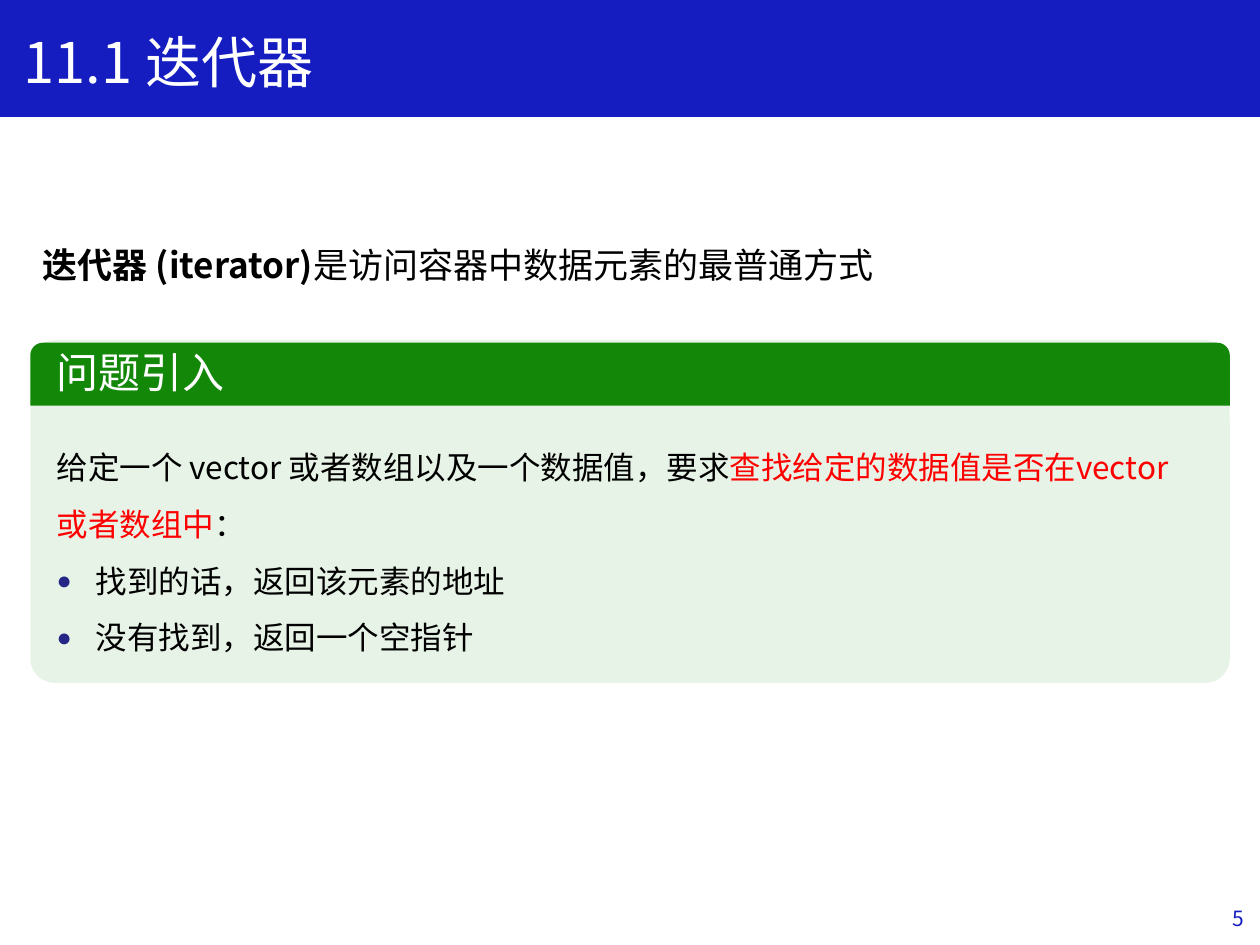
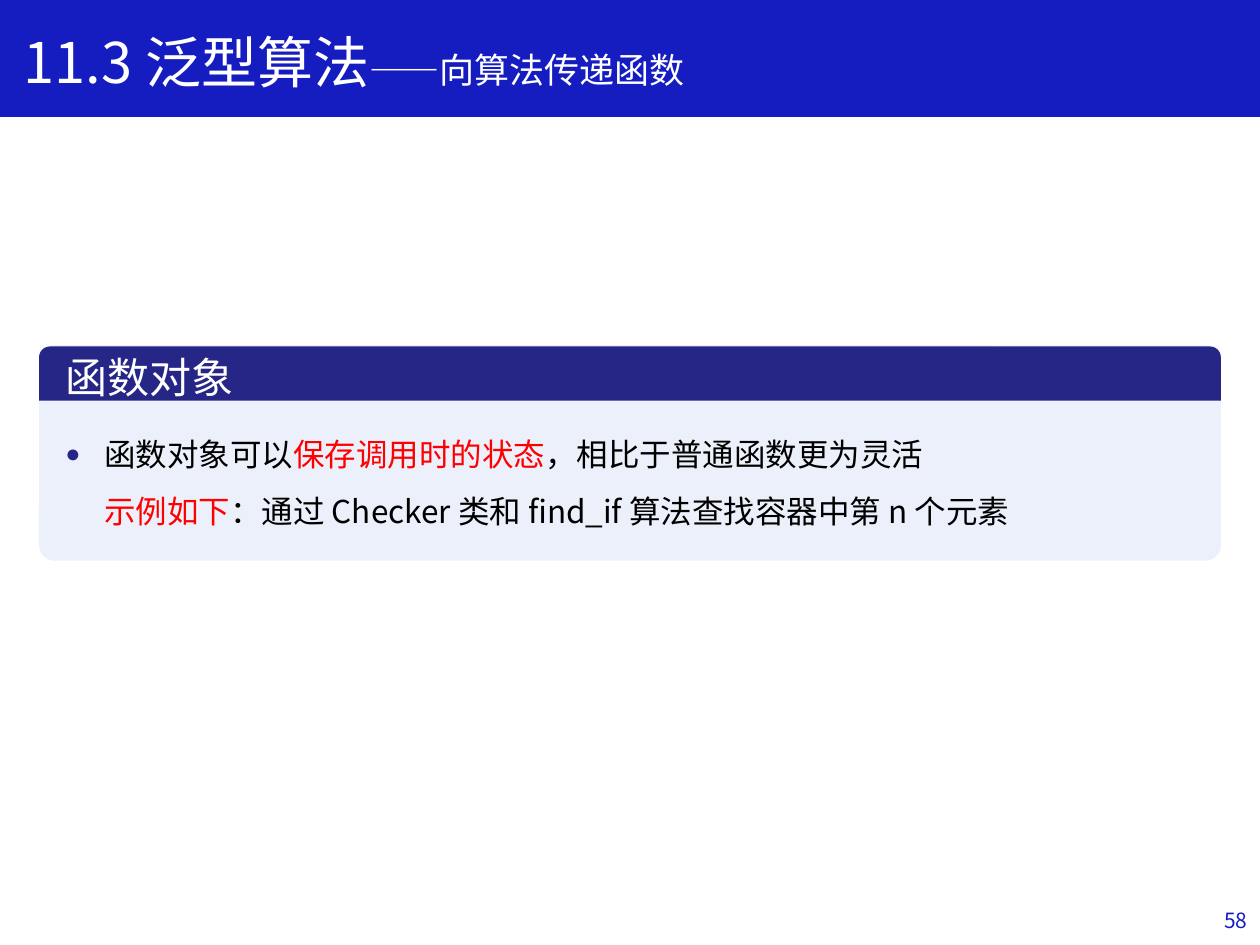
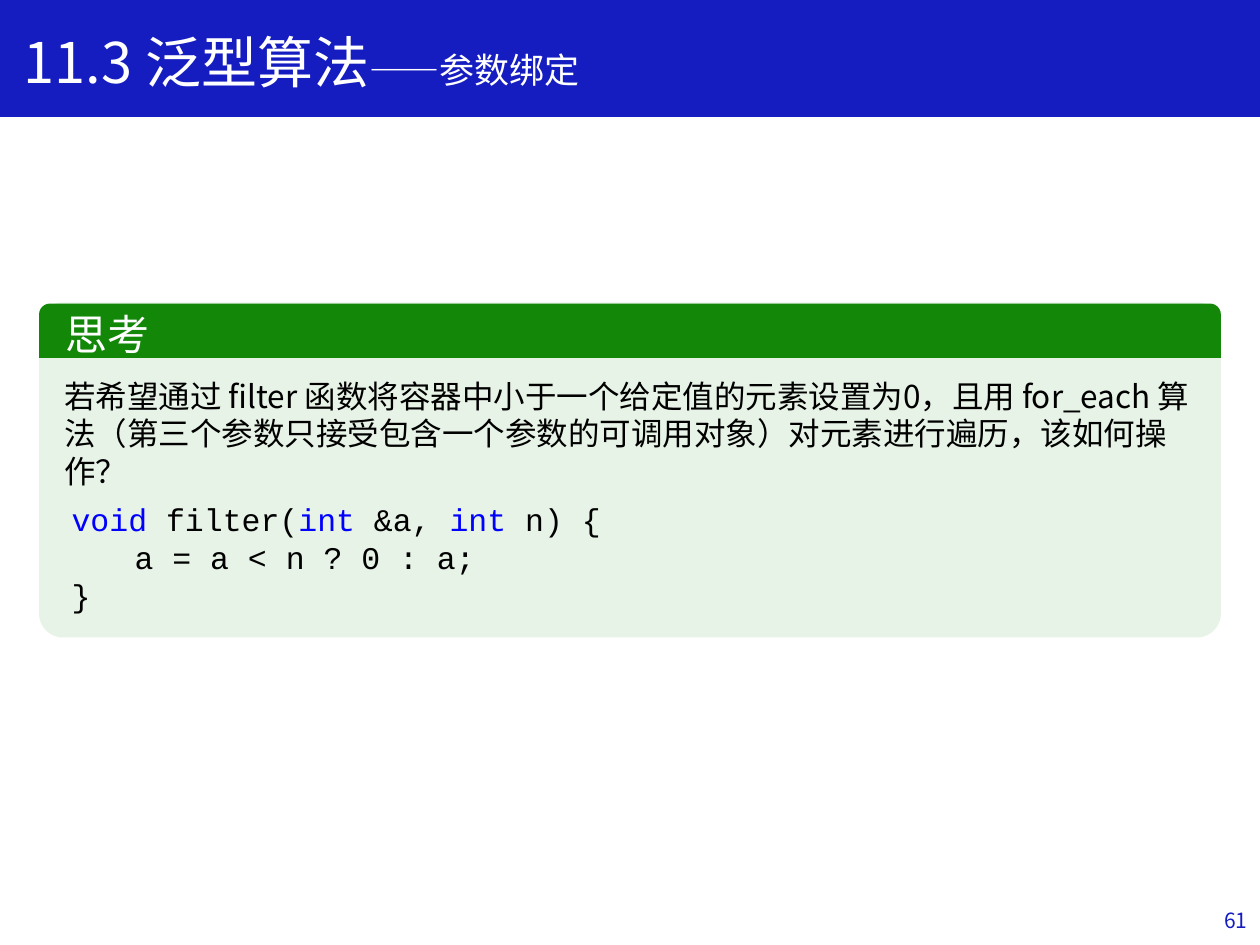
from lxml.etree import SubElement
from pptx import Presentation
from pptx.dml.color import RGBColor
from pptx.enum.shapes import MSO_SHAPE as Shape
from pptx.enum.text import MSO_ANCHOR as Anchor, MSO_AUTO_SIZE as AutoSize, PP_ALIGN as Align
from pptx.oxml.ns import qn
from pptx.util import Pt

PX = 9144
SLIDE_WIDTH, SLIDE_HEIGHT = 1000, 750
BODY_FONT, CODE_FONT, BULLET_FONT = "Noto Sans CJK SC", "Courier New", "Arial"
BODY_SIZE = 18
COLORS = {
    "band": "151DC1", "white": "FFFFFF", "text": "000000", "accent": "FF0000",
    "keyword": "0000FF", "green": "128708", "pale_green": "E7F3E6",
    "navy": "262686", "pale_blue": "ECF0FA",
}
GREEN = ("green", "pale_green")
BLUE = ("navy", "pale_blue")


def rgb(name):
    """Return the named colour."""
    return RGBColor.from_string(COLORS[name])


def emu(box):
    """Turn a px box into EMU lengths."""
    return [length * PX for length in box]


def add_filled(shapes, preset, box, color, adjustments=()):
    """Add a plain filled shape without outline."""
    shape = shapes.add_shape(preset, *emu(box))
    shape.shadow.inherit = False
    shape.fill.solid()
    shape.fill.fore_color.rgb = rgb(color)
    shape.line.fill.background()
    for index, value in enumerate(adjustments):
        shape.adjustments[index] = value
    return shape


def add_run(paragraph, text, color="text", size=BODY_SIZE, bold=False, font=BODY_FONT):
    """Append a formatted run to a paragraph."""
    run = paragraph.add_run()
    run.text = text
    run.font.size = Pt(size)
    run.font.bold = bold
    run.font.name = font
    run.font.color.rgb = rgb(color)
    SubElement(run.font._element, qn("a:ea"), typeface=font)


def add_text(shapes, box, paragraphs, size=BODY_SIZE, font=BODY_FONT):
    """Add a wrapping text box; each paragraph is a list of run tuples."""
    text_box = shapes.add_textbox(*emu(box))
    frame = text_box.text_frame
    frame.word_wrap = True
    frame.auto_size = AutoSize.SHAPE_TO_FIT_TEXT
    for index, runs in enumerate(paragraphs):
        paragraph = frame.add_paragraph() if index else frame.paragraphs[0]
        for text, color, *run_size in runs:
            add_run(paragraph, text, color, *(run_size or [size]), font=font)
    return frame


def add_bullet(paragraph):
    """Give a paragraph a hanging navy bullet."""
    properties = paragraph._p.get_or_add_pPr()
    properties.set("marL", str(31 * PX))
    properties.set("indent", str(-31 * PX))
    color = SubElement(properties, qn("a:buClr"))
    SubElement(color, qn("a:srgbClr"), val=COLORS["navy"])
    SubElement(properties, qn("a:buSzPct"), val="80000")
    SubElement(properties, qn("a:buFont"), typeface=BULLET_FONT)
    SubElement(properties, qn("a:buChar"), char="●")


def add_tab_stop(paragraph, position):
    """Set a left tab stop at a px position."""
    stops = SubElement(paragraph._p.get_or_add_pPr(), qn("a:tabLst"))
    SubElement(stops, qn("a:tab"), pos=str(position * PX), algn="l")


def add_base(presentation, title, number, subtitle="", title_width=744, number_at=(775, 710)):
    """Add a slide with its title band and page number."""
    slide = presentation.slides.add_slide(presentation.slide_layouts[6])
    band = add_filled(slide.shapes, Shape.RECTANGLE, (0, 0, SLIDE_WIDTH, 92), "band")
    band.line.color.rgb = rgb("band")
    band.line.width = Pt(1)
    frame = add_text(slide.shapes, (*number_at, 225, 40), [[(str(number), "band")]], size=12)
    frame.auto_size = AutoSize.NONE
    frame.vertical_anchor = Anchor.MIDDLE
    frame.paragraphs[0].alignment = Align.RIGHT
    runs = [(title, "white")]
    if subtitle:
        runs.append((subtitle, "white", 20))
    add_text(slide.shapes, (9, 17, title_width, 64), [runs], size=32)
    return slide


def add_card(slide, box, heading, theme, header_top=1, header_height=43):
    """Add a rounded card with a coloured header and return its group's shapes."""
    left, top, width, height = box
    header_color, body_color = theme
    shapes = slide.shapes.add_group_shape().shapes
    add_filled(shapes, Shape.ROUNDED_RECTANGLE, box, body_color, [0.072])
    header_box = (left, top + header_top, width, header_height)
    add_filled(shapes, Shape.ROUND_2_SAME_RECTANGLE, header_box, header_color, [0.2, 0])
    add_text(shapes, (left + 11, top, 805, 50), [[(heading, "white")]], size=24)
    return shapes


def add_iterator_slide(presentation):
    """Introduce iterators and the search problem."""
    slide = add_base(presentation, "11.1 迭代器", 5, title_width=467, number_at=(772, 709))
    left, top, width, height = box = (24, 270, 952, 272)
    card = add_card(slide, box, "问题引入", GREEN, 2, 50)
    frame = add_text(card, (left + 11, top + 66, 908, 187), [
        [("给定一个 vector 或者数组以及一个数据值，要求", "text"),
         ("查找给定的数据值是否在vector 或者数组中", "accent"), ("：", "text")],
        [("找到的话，返回该元素的地址", "text")],
        [("没有找到，返回一个空指针", "text")],
    ])
    for paragraph in frame.paragraphs:
        paragraph.line_spacing = 1.5
    for paragraph in frame.paragraphs[1:]:
        add_bullet(paragraph)
    definition = add_text(slide.shapes, (left, 188, width, 44), [
        [("迭代器 (iterator)", "text"), ("是访问容器中数据元素的最普通方式", "text")],
    ], size=20)
    definition.paragraphs[0].runs[0].font.bold = True


def add_function_object_slide(presentation):
    """Explain what function objects add."""
    slide = add_base(presentation, "11.3 泛型算法", 58, "——向算法传递函数")
    left, top, width, height = box = (31, 274, 938, 171)
    add_card(slide, box, "函数对象", BLUE)
    frame = add_text(slide.shapes, (left + 11, top + 66, 830, 40), [
        [("函数对象可以", "text"), ("保存调用时的状态", "accent"),
         ("，相比于普通函数更为灵活", "text")],
    ])
    add_bullet(frame.paragraphs[0])
    add_text(slide.shapes, (left + 42, top + 112, 830, 40), [
        [("示例如下", "accent"),
         ("：通过 Checker 类和 find_if 算法查找容器中第 n 个元素", "text")],
    ])


def add_binding_slide(presentation):
    """Pose the argument binding question with its code."""
    slide = add_base(presentation, "11.3 泛型算法", 61, "——参数绑定")
    left, top, width, height = box = (31, 240, 938, 266)
    add_card(slide, box, "思考", GREEN)
    add_text(slide.shapes, (left + 10, top + 54, 918, 101), [
        [("若希望通过 filter 函数将容器中小于一个给定值的元素设置为0，且用 for_each "
          "算法（第三个参数只接受包含一个参数的可调用对象）对元素进行遍历，该如何操作？", "text")],
    ])
    code = add_text(slide.shapes, (left + 16, top + 152, 540, 101), [
        [("void ", "keyword"), ("filter(", "text"), ("int ", "keyword"),
         ("&a, ", "text"), ("int ", "keyword"), ("n) {", "text")],
        [("\ta = a < n ? 0 : a;", "text")],
        [("}", "text")],
    ], font=CODE_FONT)
    add_tab_stop(code.paragraphs[1], 50)


def main():
    """Build and save the presentation."""
    presentation = Presentation()
    presentation.slide_width = SLIDE_WIDTH * PX
    presentation.slide_height = SLIDE_HEIGHT * PX
    add_iterator_slide(presentation)
    add_function_object_slide(presentation)
    add_binding_slide(presentation)
    presentation.save("out.pptx")


if __name__ == "__main__":
    main()
